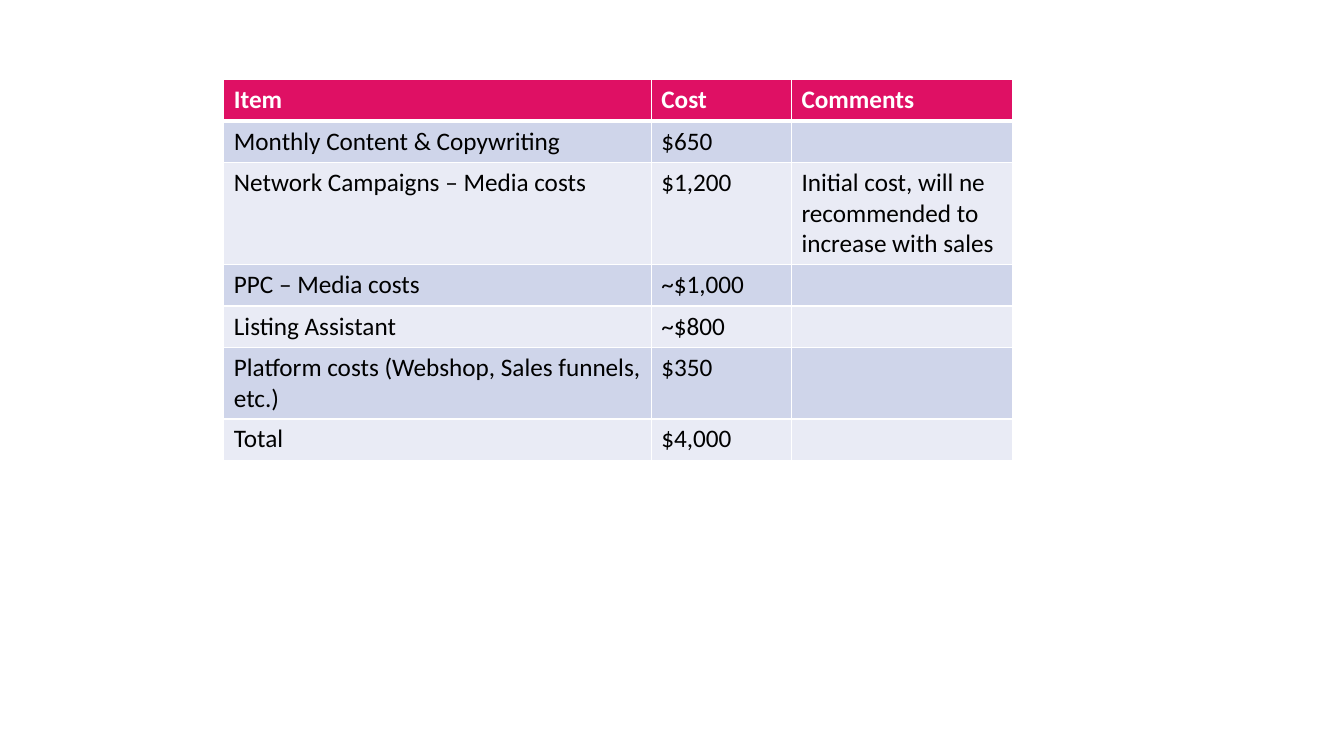
from dataclasses import dataclass
from lxml.etree import fromstring
from pptx import Presentation
from pptx.dml.color import RGBColor as RGB
from pptx.util import Inches, Pt

ROWS = [
    ("Item", "Cost", "Comments"),
    ("Monthly Content & Copywriting", "$650", ""),
    ("Network Campaigns – Media costs", "$1,200",
     "Initial cost, will ne recommended to increase with sales "),
    ("PPC – Media costs", "~$1,000", ""),
    ("Listing Assistant", "~$800", ""),
    ("Platform costs (Webshop, Sales funnels, etc.)", "$350", ""),
    ("Total", "$4,000", ""),
]
WIDTHS = (4.24, 1.39, 2.19)
LEFT, TOP, HIGH = 2.22, 0.79, 0.41
NS = "http://schemas.openxmlformats.org/drawingml/2006/main"


@dataclass(frozen=True)
class Theme:
    """Colours, font and sizes of the slide."""
    head: str = "DF1064"
    bands: tuple = ("E9EBF5", "CFD5EA")
    ink: str = "000000"
    white: str = "FFFFFF"
    font: str = "Calibri"
    size: int = 18
    thin: int = 1
    thick: int = 3


THEME = Theme()


def write(cell, text, color=THEME.ink, bold=False):
    """Put formatted text in a cell."""
    para = cell.text_frame.paragraphs[0]
    para.font.size = Pt(THEME.size)
    if text:
        run = para.add_run()
        run.text = text
        font = run.font
        font.name, font.size, font.bold = THEME.font, Pt(THEME.size), bold
        font.color.rgb = RGB.from_string(color)


def paint(cell, color):
    """Fill a cell with one colour."""
    cell.fill.solid()
    cell.fill.fore_color.rgb = RGB.from_string(color)


def edge(cell, **sides):
    """Draw the cell borders, with widths in points given by side."""
    props = cell._tc.get_or_add_tcPr()
    for spot, side in enumerate("LRTB"):
        width = Pt(sides.get(side, THEME.thin))
        props.insert(spot, fromstring(
            f'<a:ln{side} xmlns:a="{NS}" w="{width}"><a:solidFill>'
            f'<a:srgbClr val="{THEME.white}"/></a:solidFill></a:ln{side}>'))


def build(slide):
    """Add the cost table to the slide."""
    frame = slide.shapes.add_table(
        len(ROWS), len(WIDTHS), Inches(LEFT), Inches(TOP),
        Inches(sum(WIDTHS)), Inches(HIGH * len(ROWS)))
    table = frame.table
    for col, width in zip(table.columns, WIDTHS):
        col.width = Inches(width)
    for r, row in enumerate(ROWS):
        table.rows[r].height = Inches(HIGH)
        for c, text in enumerate(row):
            cell = table.cell(r, c)
            if r == 0:
                write(cell, text, color=THEME.white, bold=True)
                paint(cell, THEME.head)
                edge(cell, B=THEME.thick)
            else:
                write(cell, text)
                paint(cell, THEME.bands[r % 2])
                edge(cell, T=THEME.thick if r == 1 else THEME.thin)


deck = Presentation()
deck.slide_width, deck.slide_height = Inches(13.33), Inches(7.5)
build(deck.slides.add_slide(deck.slide_layouts[6]))
deck.save("out.pptx")
